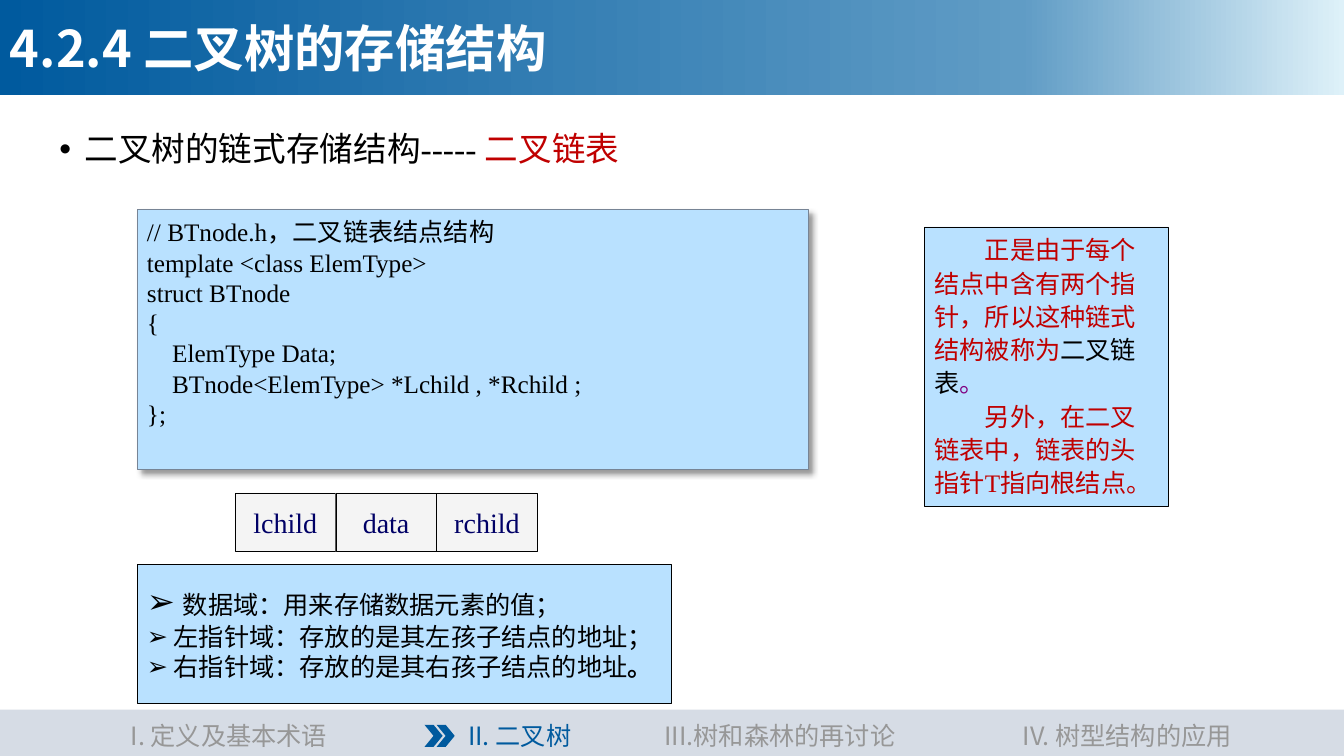
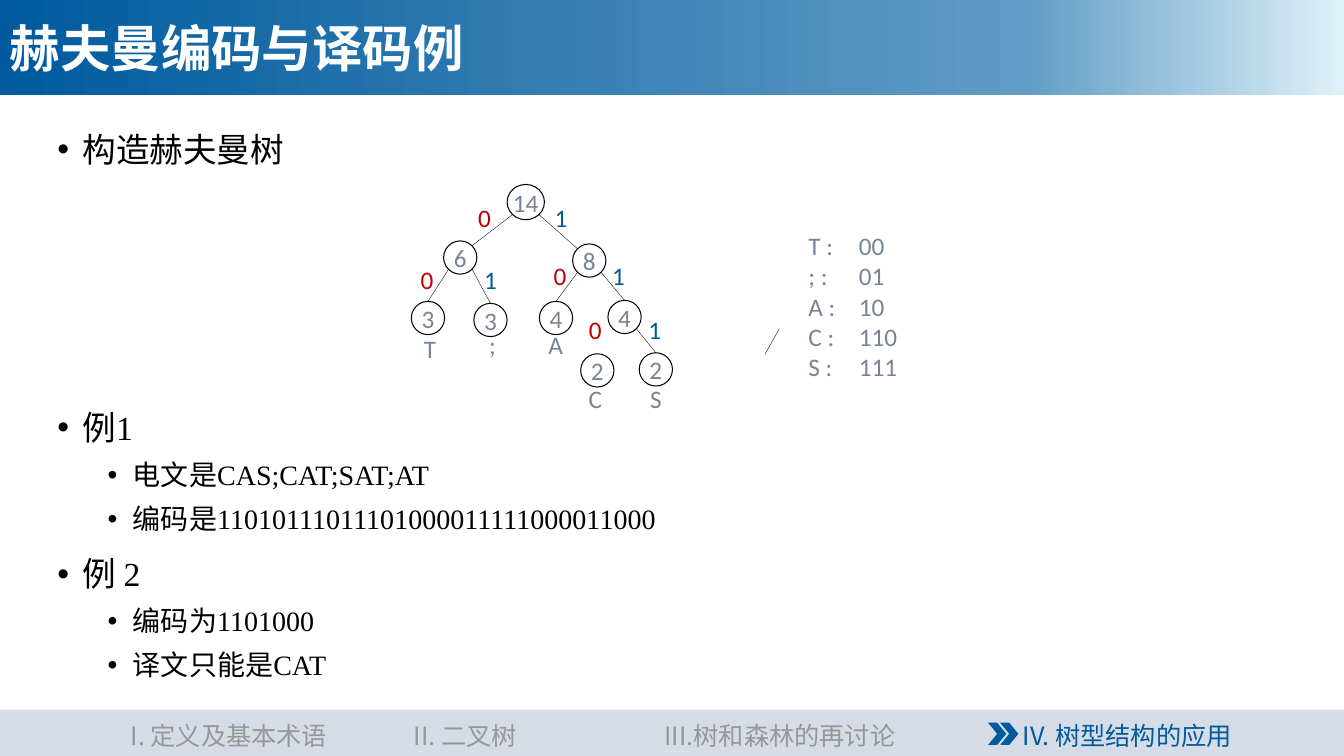
from copy import deepcopy

from lxml import etree
from pptx import Presentation, util as u
from pptx.dml.color import RGBColor
from pptx.enum import shapes, text
from pptx.oxml import ns

HEX = {
    "blue": "005A9E", "mid": "609CC5", "pale": "DEF1F9", "sky": "B9E1FF",
    "bar": "D6DCE5", "gray": "979797", "cell": "F4F4F4", "slate": "778495",
    "navy": "000066", "red": "C00000", "plum": "800080",
    "black": "000000", "white": "FFFFFF",
}
CJK, SERIF, SANS = "Noto Sans CJK SC", "Times New Roman", "Calibri"
IN = u.Inches
KIND = shapes.MSO_SHAPE
LEFT, MID = text.PP_ALIGN.LEFT, text.PP_ALIGN.CENTER
TOP, CENTER = text.MSO_ANCHOR.TOP, text.MSO_ANCHOR.MIDDLE


def rgb(name):
    return RGBColor.from_string(HEX[name])


def sub(node, tag, **attrs):
    """Append a DrawingML child element."""
    return etree.SubElement(node, ns.qn("a:" + tag), attrs)


class Deck:
    def __init__(self):
        self.prs = Presentation()
        self.prs.slide_width, self.prs.slide_height = IN(13.33), IN(7.5)
        self.slide = None

    def open(self, title):
        self.slide = self.prs.slides.add_slide(self.prs.slide_layouts[6])
        band = self.shape(KIND.RECTANGLE, 0, 0, 13.33, 0.94)
        band.fill.gradient()
        band.fill.gradient_angle = 0
        first = band._element.spPr.find(".//" + ns.qn("a:gs"))
        first.addnext(deepcopy(first))
        stops = zip(band.fill.gradient_stops, (0, 0.76, 1), ("blue", "mid", "pale"))
        for stop, pos, color in stops:
            stop.position = pos
            stop.color.rgb = rgb(color)
        self.frame(band, CENTER)
        self.para(band, [(title, {"bold": True})], size=36, color="white", latin=CJK)

    def foot(self, live, two, mark):
        """Draw the section bar; live is the current section, mark the chevrons' corner."""
        self.shape(KIND.RECTANGLE, 0, 7.04, 13.33, 0.46, "bar")
        tabs = [("I. 定义及基本术语", 0.43, 3.68), ("II. 二叉树", two, 2.23),
                ("III.树和森林的再讨论", 6.28, 2.91), ("IV. 树型结构的应用", 9.96, 2.44)]
        for num, (name, x, w) in enumerate(tabs, 1):
            box = self.box(x, 7.1, w, 0.4)
            color = "blue" if num == live else "gray"
            self.para(box, [name], size=18, color=color, latin=CJK, align=MID)
        x, y = mark
        for step in (0.12, 0):
            self.shape(KIND.CHEVRON, x + step, y, 0.18, 0.22, "blue")

    def shape(self, kind, x, y, w, h, fill=None, line=None, width=0.25):
        item = self.slide.shapes.add_shape(kind, IN(x), IN(y), IN(w), IN(h))
        item.shadow.inherit = False
        if fill:
            item.fill.solid()
            item.fill.fore_color.rgb = rgb(fill)
        else:
            item.fill.background()
        if line:
            item.line.color.rgb = rgb(line)
            item.line.width = u.Pt(width)
        else:
            item.line.fill.background()
        return item

    def shade(self, item):
        """Give a shape a soft shadow down and to the right."""
        glow = sub(item._element.spPr.find(ns.qn("a:effectLst")), "outerShdw",
                   blurRad=str(u.Pt(4)), dist=str(u.Pt(4)), dir="2700000",
                   algn="tl", rotWithShape="0")
        sub(sub(glow, "srgbClr", val=HEX["black"]), "alpha", val="40000")

    def frame(self, item, anchor=TOP, wrap=True):
        item.text_frame.word_wrap = wrap
        item.text_frame.vertical_anchor = anchor

    def box(self, x, y, w, h, anchor=TOP, wrap=True):
        item = self.slide.shapes.add_textbox(IN(x), IN(y), IN(w), IN(h))
        self.frame(item, anchor, wrap)
        return item

    def para(self, item, runs, size=18, color="black", latin=SERIF, align=LEFT,
             lines=None, before=0, left=0, hang=0, bullet=None, tab=None):
        """Add a paragraph; a run is a string or (string, own style)."""
        body = item.text_frame
        fresh = not body.paragraphs[0].runs
        par = body.paragraphs[0] if fresh else body.add_paragraph()
        par.alignment = align
        if lines:
            par.line_spacing = lines
        if before and not fresh:
            par.space_before = u.Pt(before)
        prop = par._p.get_or_add_pPr()
        prop.set("marL", str(IN(left)))
        prop.set("indent", str(IN(hang)))
        if bullet:
            sub(prop, "buFont", typeface="Arial")
            sub(prop, "buChar", char=bullet)
        if tab:
            sub(sub(prop, "tabLst"), "tab", pos=str(IN(tab)), algn="l")
        for part in runs:
            words, own = (part, {}) if isinstance(part, str) else part
            run = par.add_run()
            run.text = words
            font = run.font
            font.size = u.Pt(own.get("size", size))
            font.bold = own.get("bold", False)
            font.color.rgb = rgb(own.get("color", color))
            font.name = own.get("latin", latin)
            sub(run._r.get_or_add_rPr(), "ea", typeface=CJK)

    def point(self, item, runs, level=0, lines=1.1):
        self.para(item, runs, size=(24, 20)[level], lines=lines, before=(10, 5)[level],
                  left=(0.25, 0.75)[level], hang=-0.25, bullet="•")

    def node(self, x, y, value, size=(0.33, 0.33)):
        item = self.shape(KIND.OVAL, x, y, *size, line="black", width=0.75)
        self.frame(item, CENTER, False)
        self.para(item, [value], color="slate", latin=SANS, align=MID)
        return item

    def mark(self, x, y, char, color="slate"):
        item = self.box(x, y, 0.33, 0.4, CENTER, False)
        self.para(item, [char], color=color, latin=SANS, align=MID)

    def line(self, start, end):
        item = self.slide.shapes.add_connector(
            shapes.MSO_CONNECTOR.STRAIGHT, *map(int, start + end))
        item.line.color.rgb = rgb("black")
        item.line.width = u.Pt(0.25)
        sub(item._element.spPr, "effectLst")
        return item


def rim(item, side, down):
    """Point on an oval's rim, on the diagonal; side and down are -1 or 1."""
    x = item.left + item.width / 2 * (1 + side * 0.71)
    y = item.top + item.height / 2 * (1 + down * 0.71)
    return x, y


def store(deck):
    deck.open("4.2.4 二叉树的存储结构")
    body = deck.box(0.49, 1.27, 11.93, 0.6)
    deck.point(body, ["二叉树的链式存储结构----- ", ("二叉链表", {"color": "red"})], lines=0.9)

    code = deck.shape(KIND.RECTANGLE, 1.36, 2.08, 6.66, 2.58, "sky", "slate")
    deck.shade(code)
    deck.frame(code)
    code.text_frame.margin_top = IN(0.07)
    for row in ("// BTnode.h，二叉链表结点结构", "template <class ElemType>", "struct BTnode",
                "{", "    ElemType Data;", "    BTnode<ElemType> *Lchild , *Rchild ;", "};"):
        deck.para(code, [row])

    for col, name in enumerate(("lchild", "data", "rchild")):
        cell = deck.shape(KIND.RECTANGLE, 2.33 + col, 4.89, 1, 0.58, "cell", "black")
        deck.frame(cell, CENTER, False)
        deck.para(cell, [name], size=20, color="navy", align=MID)

    parts = deck.shape(KIND.RECTANGLE, 1.36, 5.6, 5.3, 1.38, "sky", "black", 0.75)
    deck.frame(parts, CENTER)
    for runs in (
        [(" ", {"size": 24, "bold": True}), "数据域：用来存储数据元素的值；"],
        [" 左指针域：存放的是其左孩子结点的地址；"],
        [" 右指针域：存放的是其右孩子结点的地址", ("。", {"bold": True})],
    ):
        deck.para(parts, runs, latin=CJK, lines=0.9, before=2, bullet="➢", tab=0.29)

    note = deck.shape(KIND.RECTANGLE, 9.17, 2.25, 2.42, 2.77, "sky", "black")
    deck.frame(note)
    for runs in (
        ["正是由于每个结点中含有两个指针，所以这种链式结构被称为",
         ("二叉链表", {"color": "black"}), ("。", {"color": "plum"})],
        ["另外，在二叉链表中，链表的头指针", "T", "指向根结点。"],
    ):
        deck.para(note, runs, color="red", lines=1.1, hang=0.5)
    deck.foot(2, 4.04, (4.21, 7.19))


def code(deck):
    deck.open("赫夫曼编码与译码例")
    head = deck.box(0.47, 1.19, 11.95, 0.6)
    deck.point(head, ["构造赫夫曼树"])
    cases = deck.box(0.47, 3.95, 11.95, 2.8)
    for level, words in (
        (0, "例1"), (1, "电文是CAS;CAT;SAT;AT"),
        (1, "编码是11010111011101000011111000011000"),
        (0, "例 2"), (1, "编码为1101000"), (1, "译文只能是CAT"),
    ):
        deck.point(cases, [words], level)

    root = deck.node(5.03, 1.83, "14", (0.37, 0.35))
    six, eight = deck.node(4.4, 2.39, "6"), deck.node(5.68, 2.42, "8")
    tee, semi = deck.node(4.08, 2.99, "3"), deck.node(4.7, 3.01, "3")
    ay, four = deck.node(5.35, 2.99, "4"), deck.node(6.03, 2.98, "4")
    deck.node(5.76, 3.51, "2")
    ess = deck.node(6.34, 3.5, "2")

    for kid, side in ((six, -1), (eight, 1)):
        deck.line(rim(root, side, 1), rim(kid, -side, -1))
    for top, kid, side in ((six, tee, -1), (six, semi, 1), (eight, ay, -1),
                           (eight, four, 1), (four, ess, 1)):
        edge = deck.line(rim(top, side, 1), (kid.left + kid.width / 2, kid.top))
        edge.end_connect(kid, 0)
    deck.line((IN(7.73), IN(3.26)), (IN(7.59), IN(3.51)))

    for x, y, char in ((4.1, 3.26, "T"), (4.72, 3.22, ";"), (5.34, 3.22, "A"),
                       (5.74, 3.75, "C"), (6.34, 3.75, "S")):
        deck.mark(x, y, char)
    for y, zero, one in ((1.96, 4.64, 5.4), (2.57, 4.07, 4.7),
                         (2.53, 5.39, 5.97), (3.07, 5.74, 6.33)):
        deck.mark(zero, y, "0", "red")
        deck.mark(one, y, "1", "blue")

    key = deck.box(7.92, 2.23, 1.2, 1.61, CENTER)
    for char, bits in (("T", "00"), ("; ", "01"), ("A", "10"), ("C", "110"), ("S", "111")):
        deck.para(key, [f"{char} :\t{bits}".replace("  ", " ")],
                  color="slate", latin=SANS, tab=0.44)
    deck.foot(4, 3.5, (9.8, 7.17))


def main():
    deck = Deck()
    store(deck)
    code(deck)
    deck.prs.save("out.pptx")


if __name__ == "__main__":
    main()
